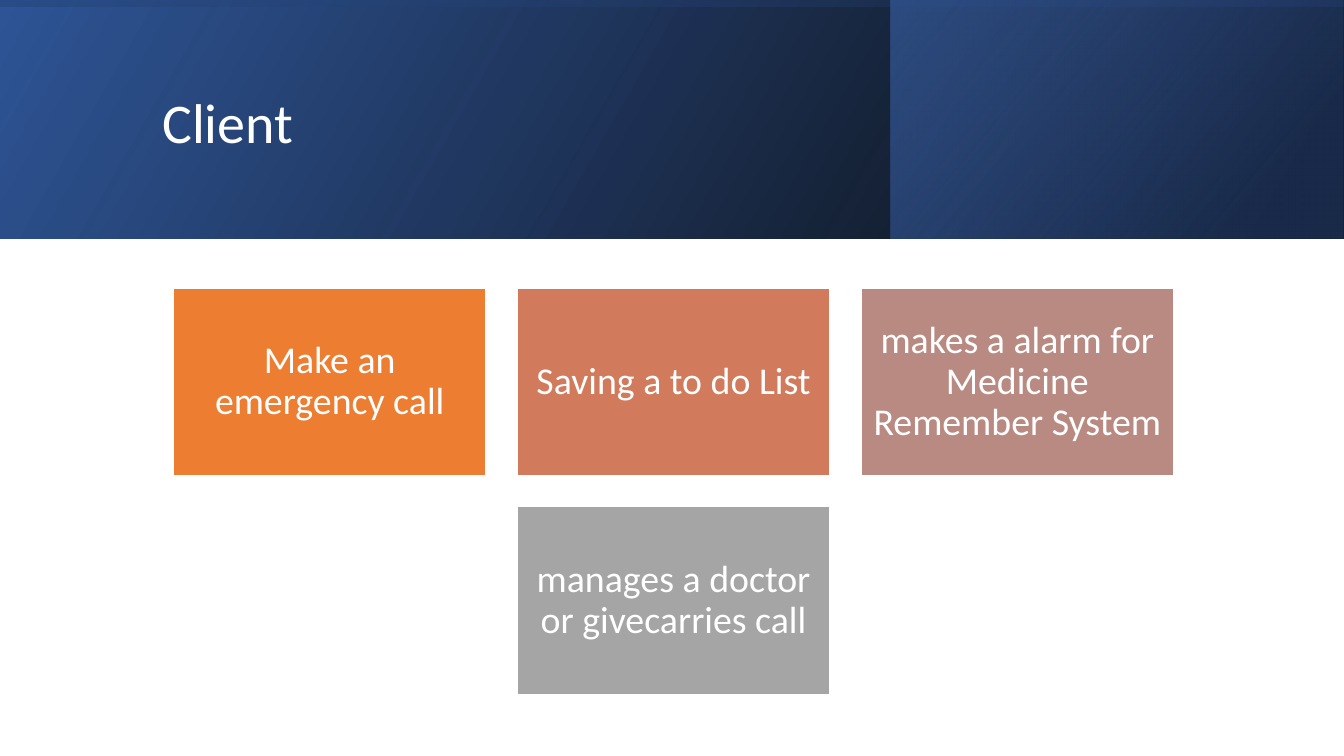
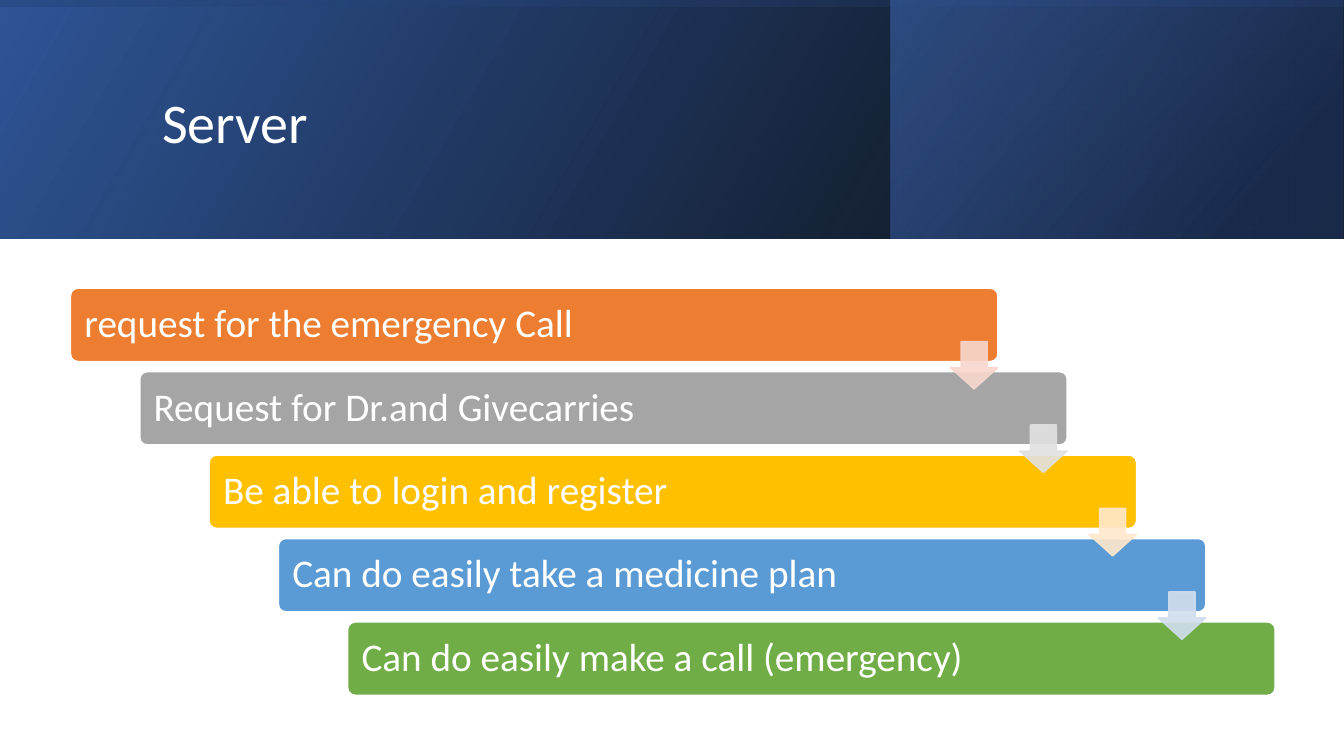
"""Build the Client and Server slides."""
from pptx import Presentation
from pptx.dml.color import RGBColor
from pptx.enum.shapes import MSO_SHAPE
from pptx.enum.text import MSO_ANCHOR, PP_ALIGN
from pptx.oxml.ns import qn
from pptx.util import Pt
from lxml import etree

RECTANGLE = MSO_SHAPE.RECTANGLE
ROUNDED = MSO_SHAPE.ROUNDED_RECTANGLE
DOWN_ARROW = MSO_SHAPE.DOWN_ARROW
MIDDLE = MSO_ANCHOR.MIDDLE
LEFT, CENTER = PP_ALIGN.LEFT, PP_ALIGN.CENTER

WHITE = RGBColor(0xFF, 0xFF, 0xFF)
BLACK = RGBColor(0x00, 0x00, 0x00)
NAVY = RGBColor(0x20, 0x38, 0x64)
DARK_BLUE = RGBColor(0x2F, 0x55, 0x97)
BLUE = RGBColor(0x44, 0x72, 0xC4)
ORANGE = RGBColor(0xED, 0x7D, 0x31)
TERRACOTTA = RGBColor(0xD1, 0x7B, 0x5C)
ROSE = RGBColor(0xB9, 0x8A, 0x82)
GRAY = RGBColor(0xA5, 0xA5, 0xA5)
GOLD = RGBColor(0xFF, 0xC0, 0x00)
SKY = RGBColor(0x5B, 0x9B, 0xD5)
GREEN = RGBColor(0x70, 0xAD, 0x47)
PALE_ORANGE = RGBColor(0xF8, 0xD7, 0xCE)
PALE_GRAY = RGBColor(0xE1, 0xE1, 0xE1)
PALE_GOLD = RGBColor(0xFF, 0xE8, 0xCC)
PALE_SKY = RGBColor(0xD2, 0xDE, 0xEF)

WIDTH, HEIGHT = 960, 540
BAND_HEIGHT = 170.6
SPLIT = 636.5
CONTENT_TOP = 205.9

BOX_ROWS = [
    [("Make an emergency call", ORANGE),
     ("Saving a to do List", TERRACOTTA),
     ("makes a alarm for Medicine Remember System", ROSE)],
    [("manages a doctor or givecarries call", GRAY)],
]
STEPS = [
    ("request for the emergency Call", ORANGE, PALE_ORANGE),
    ("Request for Dr.and Givecarries", GRAY, PALE_GRAY),
    ("Be able to login and register", GOLD, PALE_GOLD),
    ("Can do easily take a medicine plan", SKY, PALE_SKY),
    ("Can do easily make a call (emergency)", GREEN, None),
]


def set_attributes(target, values):
    """Set every named value on the target."""
    for name, value in values.items():
        setattr(target, name, value)


class Deck:
    """Hold the shared style and the current slide."""

    font = {"name": "Calibri", "bold": False}

    def __init__(self):
        """Start a widescreen presentation."""
        self.presentation = Presentation()
        set_attributes(self.presentation,
                       {"slide_width": Pt(WIDTH), "slide_height": Pt(HEIGHT)})
        self.slide = None

    def add_slide(self, title):
        """Add a slide with the gradient header and its title."""
        layout = self.presentation.slide_layouts[5]
        self.slide = self.presentation.slides.add_slide(layout)
        self.band(0, 0, WIDTH, BAND_HEIGHT, 330,
                  [(0, BLACK, 96), (1, DARK_BLUE, 100)])
        self.band(SPLIT, 0, WIDTH - SPLIT - 0.7, BAND_HEIGHT, 320,
                  [(0.19, NAVY, 68), (1, BLUE, 48)])
        offset = (WIDTH - BAND_HEIGHT) / 2
        overlay = self.band(offset, -offset, BAND_HEIGHT, WIDTH, 350,
                            [(0.23, DARK_BLUE, 16), (0.99, BLACK, 45)])
        overlay.rotation = 270
        shape = self.slide.shapes.title
        shape.element.getparent().append(shape.element)
        set_attributes(shape, {"left": Pt(108.7), "top": Pt(27.4),
                               "width": Pt(765.4), "height": Pt(123.8)})
        self.text(shape, title, 40, LEFT)

    def shape(self, kind, left, top, width, height):
        """Add a preset shape without a shadow."""
        shape = self.slide.shapes.add_shape(
            kind, Pt(left), Pt(top), Pt(width), Pt(height))
        shape.shadow.inherit = False
        return shape

    def opacity(self, shape, percents):
        """Give the colours of a shape their opacity, in order."""
        colors = list(shape.element.spPr.iter(qn("a:srgbClr")))
        for color, percent in zip(colors, percents):
            etree.SubElement(color, qn("a:alpha"), val=str(percent * 1000))

    def band(self, left, top, width, height, angle, stops):
        """Add a mirrored rectangle with a gradient."""
        shape = self.shape(RECTANGLE, left, top, width, height)
        shape.element.spPr.xfrm.set("flipH", "1")
        shape.line.fill.background()
        shape.fill.gradient()
        shape.fill.gradient_angle = 360 - angle
        for stop, (position, color, _) in zip(shape.fill.gradient_stops, stops):
            stop.position = position
            stop.color.rgb = color
        self.opacity(shape, [percent for _, _, percent in stops])
        return shape

    def solid(self, shape, fill, line):
        """Fill and outline a shape."""
        shape.fill.solid()
        shape.fill.fore_color.rgb = fill
        shape.line.color.rgb = line
        shape.line.width = Pt(1)

    def text(self, shape, text, size, alignment, inset=None):
        """Write one white paragraph in a shape."""
        frame = shape.text_frame
        set_attributes(frame, {"text": text, "word_wrap": True,
                               "vertical_anchor": MIDDLE})
        if inset is not None:
            sides = ("left", "top", "right", "bottom")
            set_attributes(frame, {f"margin_{side}": Pt(inset) for side in sides})
        paragraph = frame.paragraphs[0]
        set_attributes(paragraph, {"alignment": alignment, "line_spacing": 0.9})
        font = paragraph.runs[0].font
        set_attributes(font, {**self.font, "size": Pt(size)})
        font.color.rgb = WHITE

    def box(self, text, color, left, top, width, height):
        """Add a rectangle with centred text."""
        shape = self.shape(RECTANGLE, left, top, width, height)
        self.solid(shape, color, WHITE)
        self.text(shape, text, 27, CENTER, 8.1)

    def bar(self, text, color, left, top, width, height):
        """Add a rounded bar with text at its left."""
        shape = self.shape(ROUNDED, left, top, width, height)
        shape.adjustments[0] = 0.1
        self.solid(shape, color, WHITE)
        self.text(shape, text, 28, LEFT, 8.4)

    def arrow(self, color, left, top, size):
        """Add a translucent down arrow."""
        shape = self.shape(DOWN_ARROW, left, top, size, size)
        shape.adjustments[0] = 0.55
        shape.adjustments[1] = 0.45
        self.solid(shape, color, color)
        self.opacity(shape, [90, 90])


def add_client(deck):
    """Add the grid of client actions."""
    deck.add_slide("Client")
    left, width, height, gap = 123.8, 223.4, 133.9, 22.2
    pitch = width + gap
    columns = len(BOX_ROWS[0])
    for row, boxes in enumerate(BOX_ROWS):
        indent = (columns - len(boxes)) / 2
        top = CONTENT_TOP + row * (height + gap)
        for column, (text, color) in enumerate(boxes):
            deck.box(text, color, left + (indent + column) * pitch, top,
                     width, height)


def add_server(deck):
    """Add the staircase of server steps."""
    deck.add_slide("Server")
    width, height, size = 662.4, 52.3, 34
    places = [(50.4 + 49.5 * index, CONTENT_TOP + 59.6 * index)
              for index in range(len(STEPS))]
    for (text, color, _), (left, top) in zip(STEPS, places):
        deck.bar(text, color, left, top, width, height)
    for (_, _, color), (left, top) in zip(STEPS[:-1], places):
        deck.arrow(color, left + width - size, top + 38, size)


def main():
    """Build and save the presentation."""
    deck = Deck()
    add_client(deck)
    add_server(deck)
    deck.presentation.save("out.pptx")


if __name__ == "__main__":
    main()
